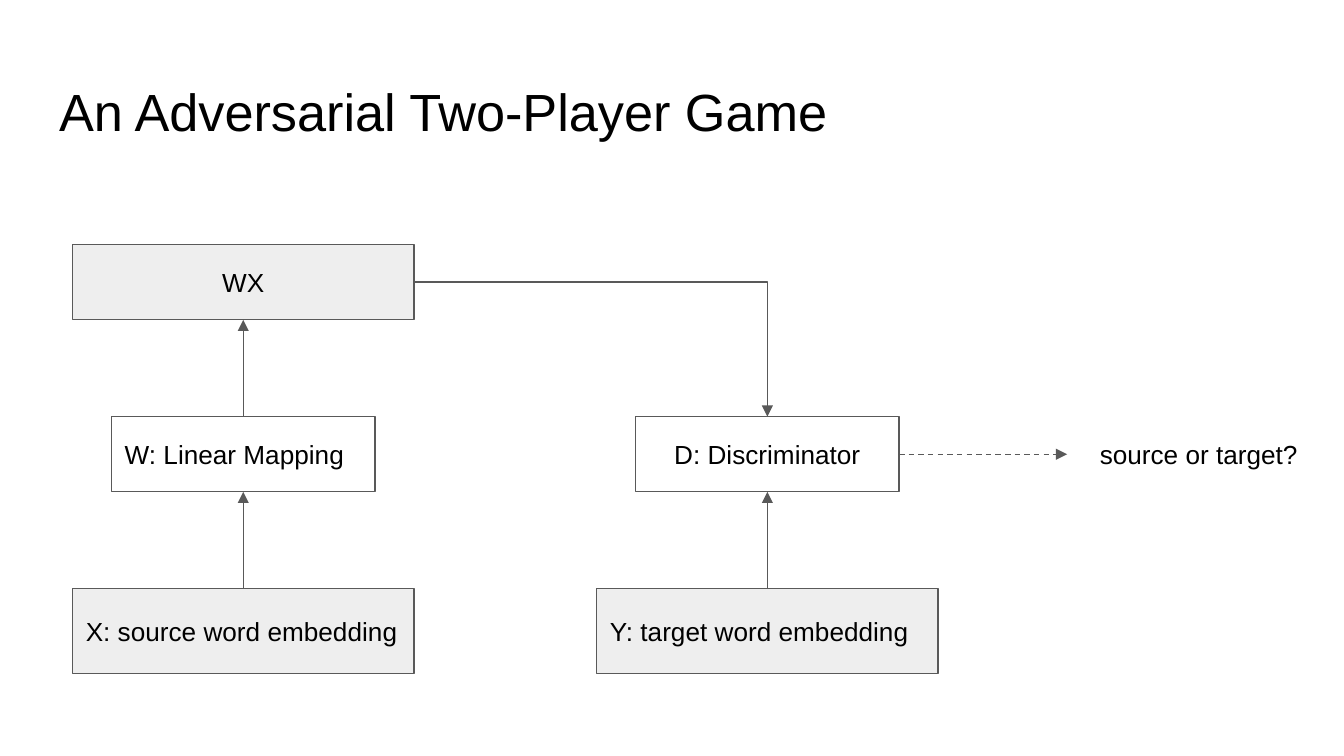
from lxml import etree
from pptx import Presentation
from pptx.dml.color import RGBColor
from pptx.enum.dml import MSO_LINE
from pptx.enum.shapes import MSO_CONNECTOR as CONNECTOR, MSO_SHAPE as SHAPE
from pptx.enum.text import MSO_ANCHOR as ANCHOR, MSO_AUTO_SIZE as AUTO_SIZE, PP_ALIGN as ALIGN
from pptx.oxml.ns import qn
from pptx.util import Inches, Pt

BLACK = RGBColor(0x00, 0x00, 0x00)
GRAY = RGBColor(0x59, 0x59, 0x59)
LIGHT_GRAY = RGBColor(0xEE, 0xEE, 0xEE)
TOP, LEFT, BOTTOM, RIGHT = range(4)


def write_text(shape, text, size, align, anchor):
    frame = shape.text_frame
    frame.text = text
    frame_format = {
        "word_wrap": True, "auto_size": AUTO_SIZE.NONE, "vertical_anchor": anchor,
        "margin_left": Inches(0.1), "margin_right": Inches(0.1),
        "margin_top": Inches(0.1), "margin_bottom": Inches(0.1),
    }
    for name, value in frame_format.items():
        setattr(frame, name, value)
    paragraph = frame.paragraphs[0]
    paragraph.alignment = align
    for name, value in {"name": "Arial", "size": Pt(size)}.items():
        setattr(paragraph.font, name, value)
    paragraph.font.color.rgb = BLACK


presentation = Presentation()
presentation.slide_width = Inches(10)
presentation.slide_height = Inches(10 * 9 / 16)
slide = presentation.slides.add_slide(presentation.slide_layouts[5])

title = slide.shapes.title
title_place = {"left": 0.34, "top": 0.49, "width": 9.32, "height": 0.63}
for name, value in title_place.items():
    setattr(title, name, Inches(value))
write_text(title, "An Adversarial Two-Player Game", 28, ALIGN.LEFT, ANCHOR.TOP)

# Boxes are centred on their column: key, text, centre x, top, width, height, fill, alignment
SOURCE_X, TARGET_X = 1.81, 5.71
WIDE, NARROW = 2.54, 1.96
boxes = [
    ("X", "X: source word embedding", SOURCE_X, 4.38, WIDE, 0.63, LIGHT_GRAY, ALIGN.LEFT),
    ("Y", "Y: target word embedding", TARGET_X, 4.38, WIDE, 0.63, LIGHT_GRAY, ALIGN.LEFT),
    ("W", "W: Linear Mapping", SOURCE_X, 3.1, NARROW, 0.56, None, ALIGN.LEFT),
    ("WX", "WX", SOURCE_X, 1.82, WIDE, 0.56, LIGHT_GRAY, ALIGN.CENTER),
    ("D", "D: Discriminator", TARGET_X, 3.1, NARROW, 0.56, None, ALIGN.CENTER),
]
nodes = {}
for key, text, center, top, width, height, fill, align in boxes:
    box = slide.shapes.add_shape(
        SHAPE.RECTANGLE, Inches(center - width / 2), Inches(top), Inches(width), Inches(height))
    box.shadow.inherit = False
    if fill is None:
        box.fill.background()
    else:
        box.fill.solid()
        box.fill.fore_color.rgb = fill
    box.line.color.rgb = GRAY
    box.line.width = Pt(0.75)
    write_text(box, text, 14, align, ANCHOR.MIDDLE)
    nodes[key] = box

answer = slide.shapes.add_textbox(Inches(7.94), Inches(3.1), Inches(NARROW), Inches(0.56))
write_text(answer, "source or target?", 14, ALIGN.CENTER, ANCHOR.MIDDLE)
nodes["answer"] = answer

arrows = [
    ("X", TOP, "W", BOTTOM, CONNECTOR.STRAIGHT),
    ("W", TOP, "WX", BOTTOM, CONNECTOR.STRAIGHT),
    ("WX", RIGHT, "D", TOP, CONNECTOR.ELBOW),
    ("Y", TOP, "D", BOTTOM, CONNECTOR.STRAIGHT),
    ("D", RIGHT, "answer", LEFT, CONNECTOR.STRAIGHT),
]
for start, start_side, end, end_side, kind in arrows:
    arrow = slide.shapes.add_connector(kind, 0, 0, 0, 0)
    arrow.begin_connect(nodes[start], start_side)
    arrow.end_connect(nodes[end], end_side)
    arrow.line.color.rgb = GRAY
    arrow.line.width = Pt(0.75)
    if end == "answer":
        arrow.line.dash_style = MSO_LINE.DASH
    properties = arrow._element.spPr
    if kind == CONNECTOR.ELBOW:
        # A single right-angle bend
        properties.find(qn("a:prstGeom")).set("prst", "bentConnector2")
    etree.SubElement(properties.find(qn("a:ln")), qn("a:tailEnd"), type="triangle")
    etree.SubElement(properties, qn("a:effectLst"))

presentation.save("out.pptx")
